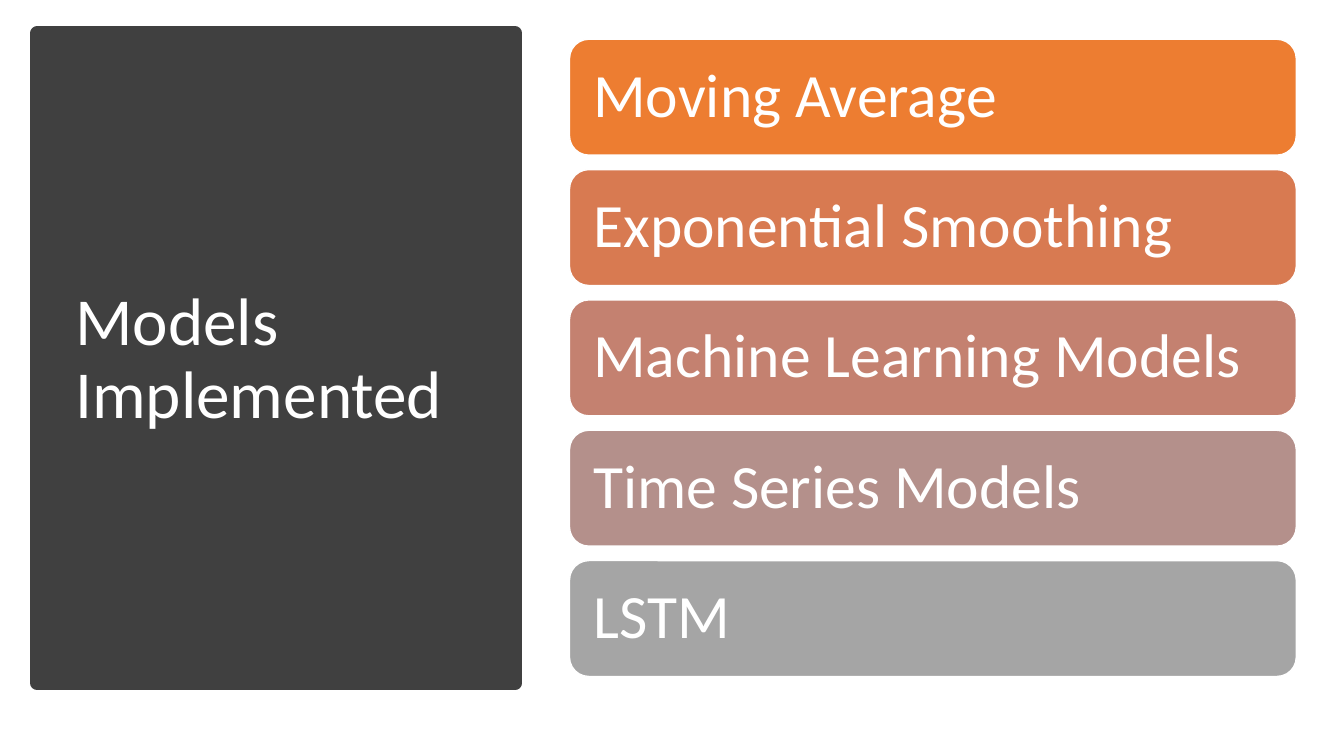
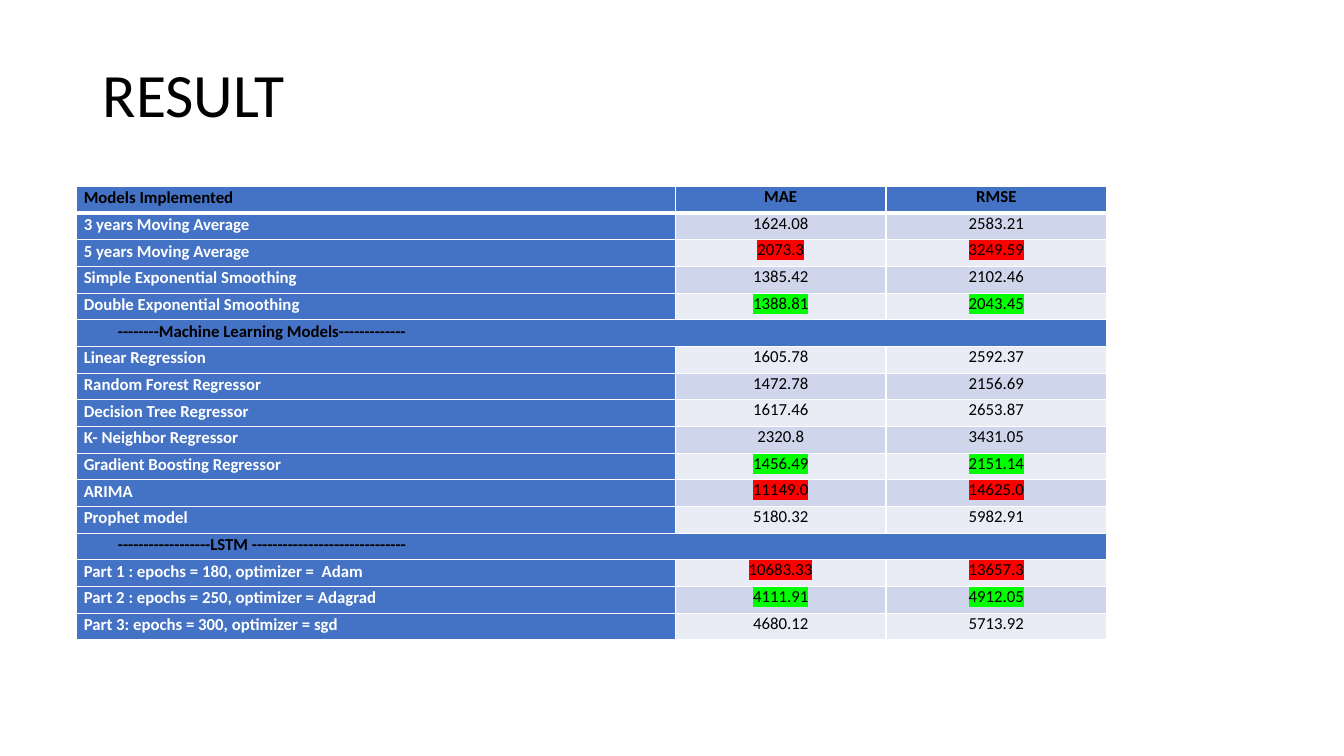
"""Build two slides: the forecasting models used and their error results."""
from dataclasses import dataclass
from typing import Optional

import lxml.etree
import pptx
import pptx.dml.color
import pptx.enum.shapes
import pptx.enum.text
import pptx.oxml.ns
import pptx.slide
import pptx.table
import pptx.text.text
import pptx.util

RGB = pptx.dml.color.RGBColor
SHAPES = pptx.enum.shapes.MSO_SHAPE
MIDDLE = pptx.enum.text.MSO_ANCHOR.MIDDLE
CENTER = pptx.enum.text.PP_ALIGN.CENTER
LEFT = pptx.enum.text.PP_ALIGN.LEFT

WHITE = RGB(0xFF, 0xFF, 0xFF)
BLACK = RGB(0x00, 0x00, 0x00)
CHARCOAL = RGB(0x40, 0x40, 0x40)
BLUE = RGB(0x44, 0x72, 0xC4)
BANDS = (RGB(0xE9, 0xEB, 0xF5), RGB(0xCF, 0xD5, 0xEA))
WORST = RGB(0xFF, 0x00, 0x00)
BEST = RGB(0x00, 0xFF, 0x00)

FONT = "Calibri"
GRID_COLUMNS = 80
SLIDE_WIDTH = pptx.util.Inches(13.33)
SLIDE_HEIGHT = pptx.util.Inches(7.5)


@dataclass(frozen=True)
class Box:
    """Place on the slide, in grid units."""
    left: float
    top: float
    width: float
    height: float

    def emu(self) -> tuple[int, int, int, int]:
        """Return the place as lengths."""
        return units(self.left), units(self.top), units(self.width), units(self.height)


@dataclass(frozen=True)
class Model:
    """Bar naming one family of models."""
    name: str
    color: RGB


@dataclass(frozen=True)
class Result:
    """Table row; a row without errors is a section heading."""
    name: str
    mae: str = ""
    rmse: str = ""
    mark: Optional[RGB] = None


MODELS = (
    Model("Moving Average", RGB(0xED, 0x7D, 0x31)),
    Model("Exponential Smoothing", RGB(0xD8, 0x7A, 0x51)),
    Model("Machine Learning Models", RGB(0xC4, 0x81, 0x70)),
    Model("Time Series Models", RGB(0xB4, 0x90, 0x8B)),
    Model("LSTM", RGB(0xA5, 0xA5, 0xA5)),
)
RESULTS = (
    Result("Models Implemented", "MAE", "RMSE"),
    Result("3 years Moving Average", "1624.08", "2583.21"),
    Result("5 years Moving Average", "2073.3", "3249.59", WORST),
    Result("Simple Exponential Smoothing", "1385.42", "2102.46"),
    Result("Double Exponential Smoothing", "1388.81", "2043.45", BEST),
    Result("--------Machine Learning Models-------------"),
    Result("Linear Regression", "1605.78", "2592.37"),
    Result("Random Forest Regressor", "1472.78", "2156.69"),
    Result("Decision Tree Regressor", "1617.46", "2653.87"),
    Result("K- Neighbor Regressor", "2320.8", "3431.05"),
    Result("Gradient Boosting Regressor", "1456.49", "2151.14", BEST),
    Result("ARIMA", "11149.0", "14625.0", WORST),
    Result("Prophet model", "5180.32", "5982.91"),
    Result("------------------LSTM ------------------------------"),
    Result("Part 1 : epochs = 180, optimizer =  Adam", "10683.33", "13657.3", WORST),
    Result("Part 2 : epochs = 250, optimizer = Adagrad", "4111.91", "4912.05", BEST),
    Result("Part 3: epochs = 300, optimizer = sgd", "4680.12", "5713.92"),
)

PANEL = Box(2.22, 1.98, 28.44, 38.7)
FIRST_BAR = Box(33.9, 2.34, 43.26, 6.9)
BAR_PITCH = 7.76
BAR_INSET = 1.08
TABLE_LEFT, TABLE_TOP = 4.56, 11.1
TABLE_COLUMNS = (35.64, 12.54, 13.14)
ROW_HEIGHT = 1.59
CELL_INSET = 0.43
SECTION_INSET = 2.46


def units(count: float) -> int:
    """Convert grid units to a length."""
    return pptx.util.Emu(round(count * SLIDE_WIDTH / GRID_COLUMNS))


def write(tf: pptx.text.text.TextFrame, text: str, size: float, color: RGB,
          bold: bool = False, align: int = LEFT, spacing: float = 0.9) -> pptx.text.text._Run:
    """Set one formatted paragraph and return its run."""
    tf.text = text
    tf.word_wrap = True
    p = tf.paragraphs[0]
    p.alignment = align
    p.line_spacing = spacing
    r = p.runs[0]
    r.font.size = pptx.util.Pt(size)
    r.font.bold = bold
    r.font.color.rgb = color
    r.font.name = FONT
    return r


def add_title(slide: pptx.slide.Slide, box: Box, text: str, size: float, color: RGB) -> None:
    """Add a slide title."""
    tf = slide.shapes.add_textbox(*box.emu()).text_frame
    tf.vertical_anchor = MIDDLE
    write(tf, text, size, color)


def add_block(slide: pptx.slide.Slide, kind: int, box: Box, fill: RGB,
              line: RGB, line_width: float) -> pptx.text.text.TextFrame:
    """Add a filled shape and return its text frame."""
    sp = slide.shapes.add_shape(kind, *box.emu())
    sp.shadow.inherit = False
    sp.fill.solid()
    sp.fill.fore_color.rgb = fill
    sp.line.color.rgb = line
    sp.line.width = pptx.util.Pt(line_width)
    return sp.text_frame


def add_bar(slide: pptx.slide.Slide, row: int, model: Model) -> None:
    """Add the bar of one model family."""
    box = Box(FIRST_BAR.left, FIRST_BAR.top + row * BAR_PITCH, FIRST_BAR.width, FIRST_BAR.height)
    tf = add_block(slide, SHAPES.ROUNDED_RECTANGLE, box, model.color, WHITE, 1)
    tf.margin_left = tf.margin_right = units(BAR_INSET)
    tf.margin_top = tf.margin_bottom = units(BAR_INSET)
    tf.vertical_anchor = MIDDLE
    write(tf, model.name, 44, WHITE)


def solid_fill(color: RGB) -> lxml.etree._Element:
    """Make a solid fill element."""
    qn = pptx.oxml.ns.qn
    fill = lxml.etree.Element(qn("a:solidFill"))
    lxml.etree.SubElement(fill, qn("a:srgbClr"), val=str(color))
    return fill


def highlight(r: pptx.text.text._Run, color: RGB) -> None:
    """Mark a run with a background colour."""
    qn = pptx.oxml.ns.qn
    mark = lxml.etree.Element(qn("a:highlight"))
    lxml.etree.SubElement(mark, qn("a:srgbClr"), val=str(color))
    r.font._element.find(qn("a:solidFill")).addnext(mark)


def set_borders(cell: pptx.table._Cell, row: int) -> None:
    """Draw white borders, thicker under the header."""
    tc_pr = cell._tc.get_or_add_tcPr()
    thick_side = {0: "B", 1: "T"}.get(row)
    for i, side in enumerate("LRTB"):
        width = pptx.util.Pt(3 if side == thick_side else 1)
        ln = lxml.etree.Element(pptx.oxml.ns.qn(f"a:ln{side}"), w=str(int(width)))
        ln.append(solid_fill(WHITE))
        tc_pr.insert(i, ln)


def fill_cell(cell: pptx.table._Cell, row: int, column: int, result: Result) -> None:
    """Write and format one table cell."""
    header, section, label = row == 0, not result.mae, column == 0
    cell.margin_left = units(SECTION_INSET if section else CELL_INSET)
    cell.margin_right = units(CELL_INSET)
    cell.margin_top = cell.margin_bottom = 0
    cell.fill.solid()
    cell.fill.fore_color.rgb = BLUE if header or label else BANDS[row % 2]
    set_borders(cell, row)
    r = write(cell.text_frame, (result.name, result.mae, result.rmse)[column], 12,
              WHITE if label and not header and not section else BLACK,
              bold=header or label, align=LEFT if label else CENTER,
              spacing=1.07 if label else 1.0)
    if result.mark is not None and not label:
        highlight(r, result.mark)


def add_results(slide: pptx.slide.Slide) -> None:
    """Add the table of errors."""
    box = Box(TABLE_LEFT, TABLE_TOP, sum(TABLE_COLUMNS), ROW_HEIGHT * len(RESULTS))
    table = slide.shapes.add_table(len(RESULTS), len(TABLE_COLUMNS), *box.emu()).table
    for column, width in zip(table.columns, TABLE_COLUMNS):
        column.width = units(width)
    for row, result in enumerate(RESULTS):
        table.rows[row].height = units(ROW_HEIGHT)
        if not result.mae:
            table.cell(row, 0).merge(table.cell(row, len(TABLE_COLUMNS) - 1))
        for column in range(len(TABLE_COLUMNS)):
            cell = table.cell(row, column)
            if not cell.is_spanned:
                fill_cell(cell, row, column, result)


def main() -> None:
    """Build and save the presentation."""
    prs = pptx.Presentation()
    prs.slide_width, prs.slide_height = SLIDE_WIDTH, SLIDE_HEIGHT
    blank = prs.slide_layouts[6]

    models = prs.slides.add_slide(blank)
    add_block(models, SHAPES.RECTANGLE, PANEL, CHARCOAL, CHARCOAL, 10)
    add_title(models, Box(3.9, 4.2, 24.96, 34.5), "Models Implemented", 48, WHITE)
    for row, model in enumerate(MODELS):
        add_bar(models, row, model)

    results = prs.slides.add_slide(blank)
    add_title(results, Box(5.52, 2.4, 14.04, 6.78), "RESULT", 44, BLACK)
    add_results(results)

    prs.save("out.pptx")


if __name__ == "__main__":
    main()
